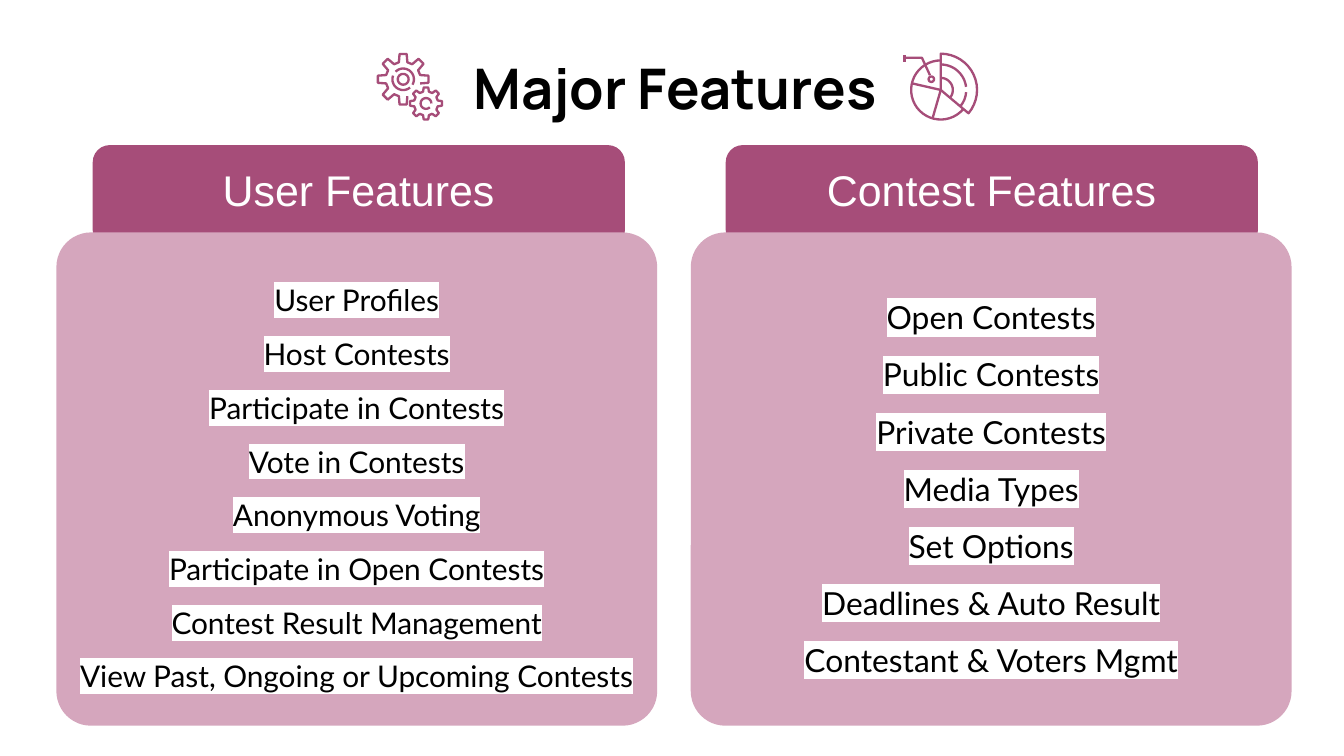
import math

import lxml.etree
import pptx
import pptx.dml.color
import pptx.enum.shapes
import pptx.enum.text
import pptx.oxml.ns
import pptx.util
from pptx.util import Inches

PLUM = "A64D79"
PINK = "D5A6BD"
WHITE = "FFFFFF"
BLACK = "000000"

COLUMNS = [
    (5.4, 5.14, "Contest Features", 17, [
        "Open Contests", "Public Contests", "Private Contests", "Media Types",
        "Set Options", "Deadlines & Auto Result", "Contestant & Voters Mgmt"]),
    (0.69, 0.42, "User Features", 16, [
        "User Profiles", "Host Contests", "Participate in Contests",
        "Vote in Contests", "Anonymous Voting", "Participate in Open Contests",
        "Contest Result Management", "View Past, Ongoing or Upcoming Contests"]),
]


def color(value):
    return pptx.dml.color.RGBColor.from_string(value)


def polar(center, radius, degrees):
    angle = math.radians(degrees)
    return center[0] + radius * math.cos(angle), center[1] + radius * math.sin(angle)


def arc(center, radius, start=0, end=360):
    steps = max(4, round((end - start) / 8))
    return [polar(center, radius, start + (end - start) * step / steps)
            for step in range(steps + 1)]


def gear(center, root, tip, teeth):
    corners = [(root, -14), (tip, -8), (tip, 8), (root, 14)]
    return [polar(center, radius, 45 * tooth + offset)
            for tooth in teeth for radius, offset in corners]


class FeatureSlide:
    """Hold the style and the current slide, and draw each kind of element."""

    def __init__(self, presentation):
        self.slide = presentation.slides.add_slide(presentation.slide_layouts[5])

    def format_frame(self, frame, anchor, top=0.1):
        frame.word_wrap = True
        frame.auto_size = pptx.enum.text.MSO_AUTO_SIZE.NONE
        frame.vertical_anchor = anchor
        frame.margin_left = frame.margin_right = frame.margin_bottom = Inches(0.1)
        frame.margin_top = Inches(top)

    def format_paragraph(self, paragraph, font, size, text_color, bold=False):
        paragraph.alignment = pptx.enum.text.PP_ALIGN.CENTER
        paragraph.font.name = font
        paragraph.font.size = pptx.util.Pt(size)
        paragraph.font.bold = bold
        paragraph.font.color.rgb = color(text_color)

    def title(self, text, left, top, width, height):
        title = self.slide.shapes.title
        title.left, title.top = Inches(left), Inches(top)
        title.width, title.height = Inches(width), Inches(height)
        self.format_frame(title.text_frame, pptx.enum.text.MSO_ANCHOR.TOP)
        title.text_frame.text = text
        self.format_paragraph(title.text_frame.paragraphs[0], "Manrope", 30, BLACK, True)

    def rounded_box(self, left, top, width, height, radius, fill):
        shape = self.slide.shapes.add_shape(
            pptx.enum.shapes.MSO_SHAPE.ROUNDED_RECTANGLE,
            Inches(left), Inches(top), Inches(width), Inches(height))
        shape.adjustments[0] = radius
        shape.shadow.inherit = False
        shape.fill.solid()
        shape.fill.fore_color.rgb = color(fill)
        shape.line.fill.background()
        return shape

    def header(self, text, left):
        frame = self.rounded_box(left, 1.08, 3.96, 0.76, 0.167, PLUM).text_frame
        self.format_frame(frame, pptx.enum.text.MSO_ANCHOR.MIDDLE, top=0)
        frame.text = text
        self.format_paragraph(frame.paragraphs[0], "Arial", 23, WHITE)

    def panel(self, items, left, size):
        frame = self.rounded_box(left, 1.73, 4.47, 3.67, 0.07, PINK).text_frame
        self.format_frame(frame, pptx.enum.text.MSO_ANCHOR.MIDDLE)
        frame.text = "\n".join(items)
        for paragraph in frame.paragraphs:
            self.format_paragraph(paragraph, "Lato", size, BLACK)
            paragraph.line_spacing = 1.5
            self.highlight(paragraph.runs[0], WHITE)

    def highlight(self, run, fill):
        name = pptx.oxml.ns.qn
        properties = run._r.get_or_add_rPr()
        element = lxml.etree.SubElement(properties, name("a:highlight"))
        lxml.etree.SubElement(element, name("a:srgbClr"), val=fill)

    def stroke(self, *outlines):
        paths = [[(Inches(x), Inches(y)) for x, y in outline] for outline in outlines]
        builder = self.slide.shapes.build_freeform(*paths[0][0])
        builder.add_line_segments(paths[0][1:], close=False)
        for path in paths[1:]:
            builder.move_to(*path[0])
            builder.add_line_segments(path[1:], close=False)
        shape = builder.convert_to_shape()
        shape.shadow.inherit = False
        shape.fill.background()
        shape.line.color.rgb = color(PLUM)
        shape.line.width = pptx.util.Pt(1.25)
        return shape

    def gears_icon(self):
        large, small = (3, 0.59), (3.17, 0.77)
        outlines = [
            gear(large, 0.13, 0.19, range(2, 9)),
            arc(large, 0.08, -135, 30),
            arc(large, 0.08, 50, 200),
            gear(small, 0.09, 0.12, range(9)),
            arc(small, 0.04, 45, 360),
            arc(large, 0.04),
        ]
        self.slide.shapes.add_group_shape([self.stroke(outline) for outline in outlines])

    def chart_icon(self):
        center = (7, 0.67)
        self.stroke(
            [center] + arc(center, 0.27, -90, 40) + [center],
            arc(center, 0.22, 40, 270),
            arc(center, 0.09, -90, 40),
            arc(center, 0.19, -90, -7),
            arc(center, 0.19, 5, 40),
            [polar(center, 0.22, 193), center, polar(center, 0.22, 106)],
            [(6.73, 0.43), (6.86, 0.43), (6.92, 0.56)],
            [(6.73, 0.41), (6.73, 0.46)],
            arc((6.93, 0.59), 0.02))


def main():
    presentation = pptx.Presentation()
    presentation.slide_width = Inches(10)
    presentation.slide_height = Inches(10 * 9 / 16)
    features = FeatureSlide(presentation)
    features.title("Major Features", 0.51, 0.3, 9.03, 0.69)
    for header_left, panel_left, heading, size, items in COLUMNS:
        features.header(heading, header_left)
    for header_left, panel_left, heading, size, items in reversed(COLUMNS):
        features.panel(items, panel_left, size)
    features.chart_icon()
    features.gears_icon()
    presentation.save("out.pptx")


if __name__ == "__main__":
    main()
